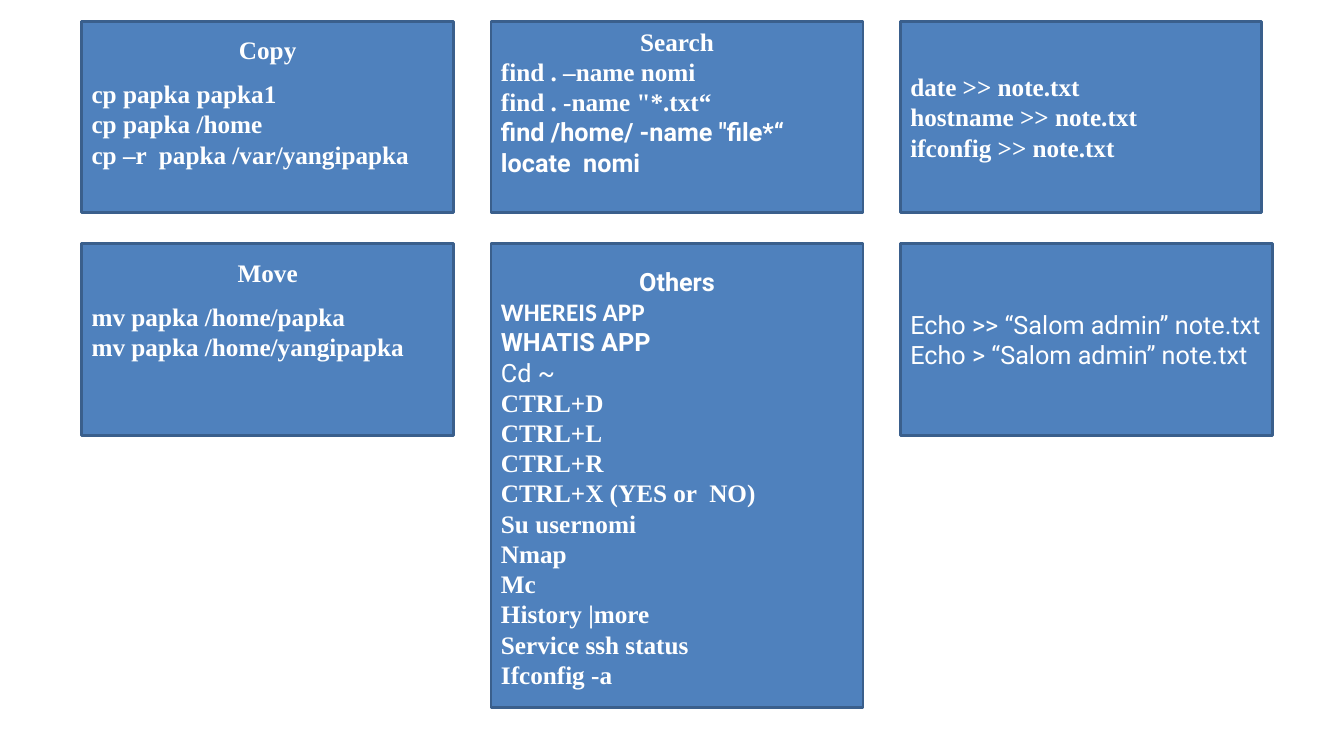
from pptx import Presentation
from pptx.dml.color import RGBColor
from pptx.enum import shapes, text
from pptx.util import Inches, Pt

BLUE = RGBColor(0x4F, 0x81, 0xBD)
EDGE = RGBColor(0x3A, 0x5F, 0x8C)
WHITE = RGBColor(0xFF, 0xFF, 0xFF)
SERIF, SANS, PLAIN = "Times New Roman", "Roboto", "Calibri"

LEFT, TOP = 0.81, 0.21
COL, ROW = 4.06, 2.21
WIDE, HIGH = 3.69, 1.9


def add_box(slide, col, row, wide=WIDE, high=HIGH):
    """Place a blue box on the grid and return its text frame."""
    box = slide.shapes.add_shape(
        shapes.MSO_SHAPE.RECTANGLE,
        Inches(LEFT + col * COL), Inches(TOP + row * ROW),
        Inches(wide), Inches(high))
    box.shadow.inherit = False
    box.fill.solid()
    box.fill.fore_color.rgb = BLUE
    box.line.color.rgb = EDGE
    box.line.width = Pt(2)
    frame = box.text_frame
    frame.word_wrap = True
    frame.vertical_anchor = text.MSO_ANCHOR.MIDDLE
    return frame


def add_line(frame, words, face=SERIF, bold=True):
    para = frame.paragraphs[0]
    if para.runs:
        para = frame.add_paragraph()
    para.text = words
    para.alignment = text.PP_ALIGN.LEFT
    para.line_spacing = Pt(21.6)
    font = para.font
    font.name, font.size, font.bold = face, Pt(18), bold
    font.color.rgb = WHITE
    return para


def add_head(frame, words, inset, face=SERIF, gap=0):
    """Start the text at the top of the box with a centred heading."""
    frame.vertical_anchor = text.MSO_ANCHOR.TOP
    frame.margin_top = Inches(inset)
    para = add_line(frame, words, face)
    para.alignment = text.PP_ALIGN.CENTER
    para.space_after = Pt(gap)


def add_lines(frame, lines, face=SERIF, bold=True):
    for words in lines:
        add_line(frame, words, face, bold)


def main():
    deck = Presentation()
    deck.slide_width, deck.slide_height = Inches(13.33), Inches(7.5)
    slide = deck.slides.add_slide(deck.slide_layouts.get_by_name("Blank"))

    copy = add_box(slide, 0, 0)
    add_head(copy, "Copy", 0.13, gap=10)
    add_lines(copy, ["cp papka papka1", "cp papka /home",
                     "cp –r  papka /var/yangipapka"])

    move = add_box(slide, 0, 1)
    add_head(move, "Move", 0.13, gap=10)
    add_lines(move, ["mv papka /home/papka", "mv papka /home/yangipapka"])

    search = add_box(slide, 1, 0)
    add_head(search, "Search", 0.05)
    add_lines(search, ["find . –name nomi", 'find . -name "*.txt“'])
    add_lines(search, ['find /home/ -name "file*“', "locate  nomi"], SANS)

    others = add_box(slide, 1, 1, high=4.6)
    add_head(others, "Others", 0.22, SANS)
    add_line(others, "WHEREIS APP", PLAIN)
    add_line(others, "WHATIS APP", SANS)
    add_line(others, "Cd ~", SANS, False)
    add_lines(others, ["CTRL+D", "CTRL+L", "CTRL+R", "CTRL+X (YES or  NO)",
                       "Su usernomi", "Nmap", "Mc", "History |more",
                       "Service ssh status", "Ifconfig -a"])

    notes = add_box(slide, 2, 0, wide=3.58)
    add_lines(notes, ["date >> note.txt", "hostname >> note.txt",
                      "ifconfig >> note.txt"])

    echo = add_box(slide, 2, 1)
    add_lines(echo, ["Echo >> “Salom admin” note.txt",
                     "Echo > “Salom admin” note.txt"], SANS, False)

    deck.save("out.pptx")


if __name__ == "__main__":
    main()
